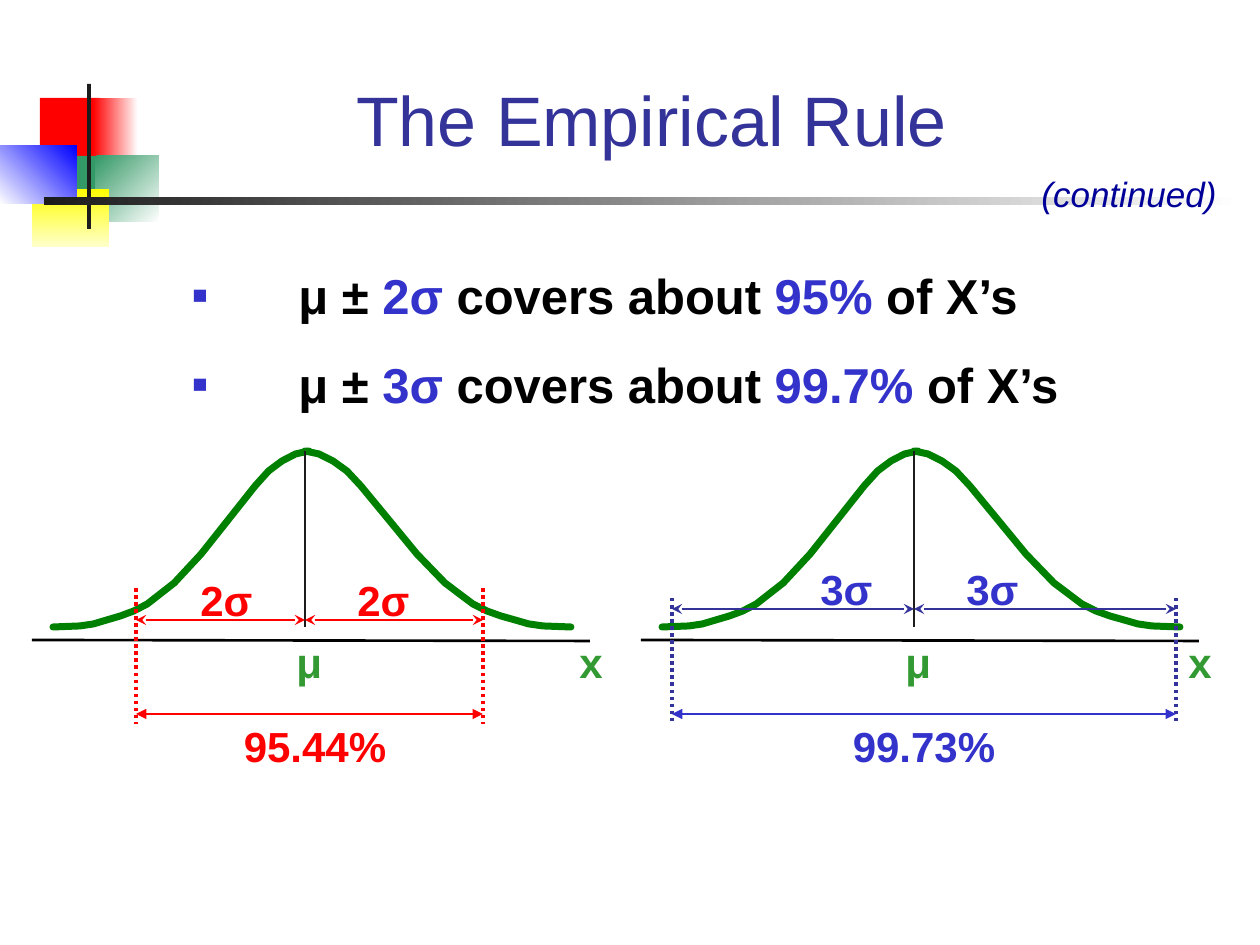
from lxml.etree import SubElement
from pptx import Presentation
from pptx.dml.color import RGBColor
from pptx.enum.dml import MSO_LINE_DASH_STYLE as Dash
from pptx.enum.shapes import MSO_CONNECTOR as Connector, MSO_SHAPE as Shape
from pptx.enum.text import MSO_ANCHOR as Anchor, PP_ALIGN as Align
from pptx.oxml.ns import qn
from pptx.util import Pt

PX = 914400 / 126
FONT = "Arial"
BLACK, DARK, RED, GREEN = "000000", "1C1C1C", "FF0000", "339933"
NAVY, BLUE, CURVE = "333399", "3333CC", "008000"

# Half of the bell curve, from tail to peak: grid step and height
STEPS = [0, 2, 3, 4, 5, 6, 7, 9, 11, 13, 14, 15, 16, 17, 18, 19]
HEIGHTS = [627, 626, 624, 620, 616, 611, 604, 583, 554, 520, 503, 486, 471, 461, 454, 451]
MEAN, PANEL_SHIFT = 305, 609


def px(value):
    return round(value * PX)


def color(hex_code):
    return RGBColor.from_string(hex_code)


def add_rect(page, left, top, width, height, fill, fade=None, angle=0):
    """Plain rectangle; fade is the end colour, angle runs clockwise."""
    rect = page.shapes.add_shape(Shape.RECTANGLE, px(left), px(top), px(width), px(height))
    rect.shadow.inherit = False
    rect.line.fill.background()
    if fade is None:
        rect.fill.solid()
        rect.fill.fore_color.rgb = color(fill)
        return
    rect.fill.gradient()
    rect.fill.gradient_angle = (360 - angle) % 360
    for stop, code in zip(rect.fill.gradient_stops, (fill, fade)):
        stop.color.rgb = color(code)


def add_line(page, x1, y1, x2, y2, stroke, width=1.0, dash=None, arrows=None):
    line = page.shapes.add_connector(Connector.STRAIGHT, px(x1), px(y1), px(x2), px(y2))
    line.line.color.rgb = color(stroke)
    line.line.width = Pt(width)
    if dash:
        line.line.dash_style = dash
    if arrows:
        outline = line.line._get_or_add_ln()
        for end in ("a:headEnd", "a:tailEnd"):
            SubElement(outline, qn(end), type=arrows)
    SubElement(line._element.spPr, qn("a:effectLst"))


def add_half_curve(page, tail, peak):
    step = (peak - tail) / STEPS[-1]
    points = [(px(tail + step * i), px(y)) for i, y in zip(STEPS, HEIGHTS)]
    builder = page.shapes.build_freeform(*points[0])
    builder.add_line_segments(points[1:], close=False)
    curve = builder.convert_to_shape()
    curve.shadow.inherit = False
    curve.fill.background()
    curve.line.color.rgb = color(CURVE)
    curve.line.width = Pt(4)
    outline = curve.line._get_or_add_ln()
    outline.set("cap", "rnd")
    SubElement(outline, qn("a:round"))


def write(para, text, size=24, ink=BLACK, bold=False, italic=False, align=Align.LEFT):
    para.alignment = align
    span = para.add_run()
    span.text = text
    span.font.name = FONT
    span.font.size = Pt(size)
    span.font.bold = bold
    span.font.italic = italic
    span.font.color.rgb = color(ink)


def add_box(page, left, top, width, height, wrap=False):
    box = page.shapes.add_textbox(px(left), px(top), px(width), px(height))
    box.text_frame.word_wrap = wrap
    return box.text_frame


def add_label(page, left, top, width, text, **style):
    write(add_box(page, left, top, width, 63).paragraphs[0], text, **style)


def add_bullet(para, spans):
    para.space_before = Pt(17.5)
    props = para._p.get_or_add_pPr()
    props.set("marL", str(px(107)))
    props.set("indent", str(-px(107)))
    bullet_color = SubElement(props, qn("a:buClr"))
    SubElement(bullet_color, qn("a:srgbClr"), val=BLUE)
    SubElement(props, qn("a:buFont"), typeface=FONT)
    SubElement(props, qn("a:buChar"), char="▪")
    for text, ink in spans:
        write(para, text, size=28, ink=ink, bold=True)


def add_decoration(page):
    add_rect(page, 40, 98, 60, 66, RED)
    add_rect(page, 93, 98, 45, 66, RED, "FFFFFF")
    add_rect(page, 95, 156, 64, 66, "339966", "FFFFFF", 45)
    add_rect(page, 54, 156, 41, 66, "339966")
    add_rect(page, 32, 189, 77, 58, "FFFF00", "FFFFCC", 90)
    add_rect(page, 0, 146, 77, 58, "FFFFFF", "0000FF", 315)
    add_rect(page, 87, 84, 4, 145, DARK)
    add_rect(page, 44, 197, 1198, 8, DARK, "FFFFFF")


def add_title(page, text):
    title = page.shapes.title
    title.left, title.top, title.width, title.height = px(169), px(32), px(965), px(136)
    title.text_frame.vertical_anchor = Anchor.BOTTOM
    para = title.text_frame.paragraphs[0]
    para.line_spacing = 0.9
    write(para, text, size=40, ink=NAVY, align=Align.CENTER)


def add_rules(page, rules):
    frame = add_box(page, 179, 259, 955, 197, wrap=True)
    for index, (sigma, share) in enumerate(rules):
        para = frame.add_paragraph() if index else frame.paragraphs[0]
        add_bullet(para, [("μ ± ", BLACK), (sigma + " ", BLUE), ("covers about ", BLACK),
                          (share, BLUE), (" of X’s", BLACK)])


def add_panel(page, shift, low, high, sigma, sigma_y, sigma_lefts, limit_top, percent, ink, line_ink):
    """Bell curve with its axis, limits, sigma arrows and covered share."""
    mean = MEAN + shift
    # Curve, mean line and axis
    add_half_curve(page, 571 + shift, mean)
    add_half_curve(page, 53 + shift, 309 + shift)
    add_line(page, mean, 451, mean, 627, DARK)
    add_line(page, 32 + shift, 640, 590 + shift, 641, BLACK, 1.5)
    for left, width, text in ((567, 48, "x"), (284, 53, "μ")):
        add_label(page, left + shift, 630, width, text, ink=GREEN, bold=True)
    # Limits and the distance of each from the mean
    for limit in (low, high):
        add_line(page, limit, limit_top, limit, 724, line_ink, 2, dash=Dash.ROUND_DOT)
    for start, end in ((low, mean), (mean, high)):
        add_line(page, start, sigma_y, end, sigma_y, line_ink, arrows="stealth")
    for left in sigma_lefts:
        add_label(page, left, sigma_y - 52, 77, sigma, ink=ink, bold=True, align=Align.CENTER)
    # Covered share
    add_line(page, low, 714, high, 714, ink, 1.5, arrows="triangle")
    add_label(page, 231 + shift, 714, 168, percent, ink=ink, bold=True, align=Align.CENTER)


def main():
    deck = Presentation()
    deck.slide_width, deck.slide_height = px(1260), px(945)
    page = deck.slides.add_slide(deck.slide_layouts[5])

    # Heading
    add_decoration(page)
    add_title(page, "The Empirical Rule")
    add_label(page, 1029, 166, 210, "(continued)", size=20, ink="000099", italic=True)

    # Statements
    add_rules(page, [("2σ", "95%"), ("3σ", "99.7%")])

    # Two and three standard deviations
    add_panel(page, 0, 136, 483, "2σ", 620, (188, 345), 588, "95.44%", RED, RED)
    add_panel(page, PANEL_SHIFT, 672, 1176, "3σ", 609, (808, 954), 598, "99.73%", BLUE, NAVY)

    deck.save("out.pptx")


if __name__ == "__main__":
    main()
